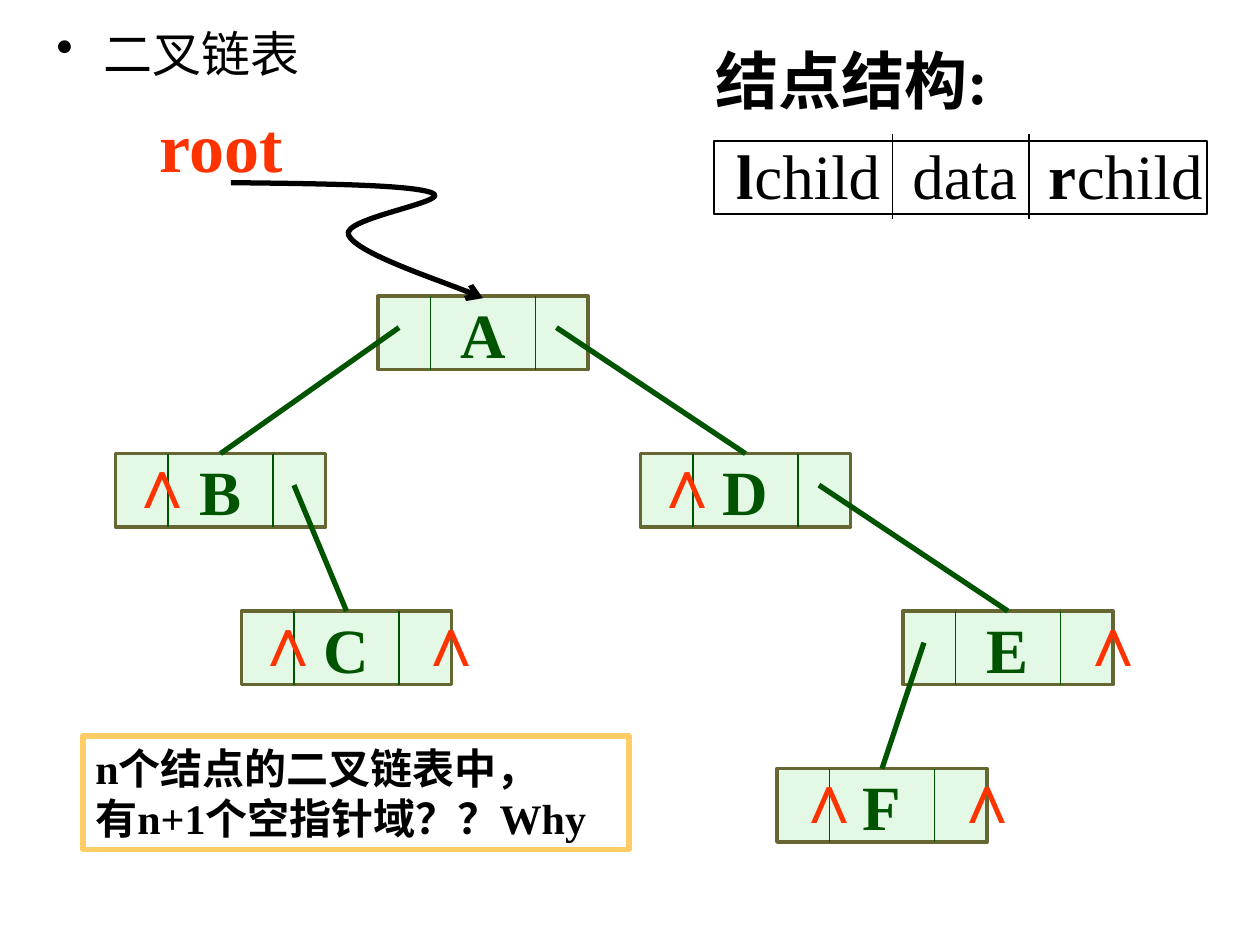
"""Build a slide on the binary linked list storage of a tree."""
from lxml import etree
from pptx import Presentation
from pptx.dml.color import RGBColor
from pptx.enum.shapes import MSO_CONNECTOR, MSO_SHAPE
from pptx.enum.text import MSO_ANCHOR, MSO_AUTO_SIZE, PP_ALIGN
from pptx.oxml.ns import qn
from pptx.util import Pt

RECTANGLE = MSO_SHAPE.RECTANGLE
STRAIGHT = MSO_CONNECTOR.STRAIGHT
LEFT, CENTER = PP_ALIGN.LEFT, PP_ALIGN.CENTER
TOP, MIDDLE = MSO_ANCHOR.TOP, MSO_ANCHOR.MIDDLE
GROW, FIXED = MSO_AUTO_SIZE.SHAPE_TO_FIT_TEXT, MSO_AUTO_SIZE.NONE

BLACK = RGBColor(0x00, 0x00, 0x00)
WHITE = RGBColor(0xFF, 0xFF, 0xFF)
RED = RGBColor(0xFF, 0x33, 0x00)
GREEN = RGBColor(0x00, 0x54, 0x00)
MINT = RGBColor(0xCA, 0xF2, 0xCE)
OLIVE = RGBColor(0x66, 0x66, 0x33)
GOLD = RGBColor(0xFF, 0xCC, 0x66)

PX = 7620
SLIDE_W, SLIDE_H = 1200, 900

TITLE = "二叉链表"
HEADING = "结点结构:"
FIELDS = [("l", True), ("child\tdata\t", False), ("r", True), ("child", False)]
FIELD_TABS = (167, 297)
FIELD_DIVIDERS = (850, 980)
NOTE = ["n个结点的二叉链表中，", "有n+1个空指针域？？Why"]

NODES = {"A": (360, 282), "D": (610, 432), "E": (860, 582),
         "B": (110, 432), "C": (230, 582), "F": (740, 732)}
NODE_W, NODE_H = 200, 70
NODE_DIVIDERS = (50, 150)
NULL_MARKS = [("F", 5), ("F", 155), ("E", 155), ("D", 0),
              ("C", 0), ("C", 155), ("B", 0)]
LINKS = [("A", 20, "B"), ("A", 170, "D"), ("B", 170, "C"),
         ("D", 170, "E"), ("E", 20, "F")]
ROOT_CURVE = [(220, 174), (307, 175), (394, 176), (412, 184), (431, 192),
              (324, 208), (332, 224), (340, 241), (439, 274), (460, 284)]

deck = Presentation()
deck.slide_width, deck.slide_height = SLIDE_W * PX, SLIDE_H * PX
slide = deck.slides.add_slide(deck.slide_layouts[6])
shapes = slide.shapes


def emu(*lengths):
    return [length * PX for length in lengths]


def add_box(area, fill=None, border=None, weight=1):
    box = shapes.add_shape(RECTANGLE, *emu(*area))
    box.shadow.inherit = False
    if fill is None:
        box.fill.background()
    else:
        box.fill.solid()
        box.fill.fore_color.rgb = fill
    if border is None:
        box.line.fill.background()
    else:
        box.line.color.rgb = border
        box.line.width = Pt(weight)
    return box


def add_line(start, end, color, weight):
    line = shapes.add_connector(STRAIGHT, *emu(*start, *end))
    line.line.color.rgb = color
    line.line.width = Pt(weight)
    etree.SubElement(line._element.spPr, qn("a:effectLst"))


def set_tabs(paragraph, stops):
    tab_list = etree.SubElement(paragraph._p.get_or_add_pPr(), qn("a:tabLst"))
    for stop in stops:
        etree.SubElement(tab_list, qn("a:tab"), pos=str(stop * PX), algn="l")


def set_bullet(paragraph, indent):
    properties = paragraph._p.get_or_add_pPr()
    properties.set("marL", str(indent * PX))
    properties.set("indent", str(-indent * PX))
    etree.SubElement(properties, qn("a:buChar"), char="•")


def write(target, paragraphs, size, color, font="Times New Roman", bold=True,
          align=LEFT, anchor=TOP, wrap=False, fit=GROW, tabs=(), bullet=0):
    """Fill a shape, or a new text box over an area, with formatted text."""
    holder = shapes.add_textbox(*emu(*target)) if isinstance(target, tuple) else target
    frame = holder.text_frame
    frame.word_wrap, frame.auto_size = wrap, fit
    frame.vertical_anchor = anchor
    for index, runs in enumerate(paragraphs):
        paragraph = frame.add_paragraph() if index else frame.paragraphs[0]
        paragraph.alignment = align
        if bullet:
            set_bullet(paragraph, bullet)
        if tabs:
            set_tabs(paragraph, tabs)
        for text, weight in [(runs, bold)] if isinstance(runs, str) else runs:
            run = paragraph.add_run()
            run.text = text
            run.font.name, run.font.size = font, Pt(size)
            run.font.bold = weight
            run.font.color.rgb = color


def add_node(label, left, top):
    node = add_box((left, top, NODE_W, NODE_H), MINT, OLIVE, 2)
    tint = node._element.spPr.find(qn("a:solidFill"))[0]
    etree.SubElement(tint, qn("a:alpha"), val="50000")
    write(node, [label], 36, GREEN, align=CENTER, anchor=MIDDLE, fit=FIXED)
    for offset in NODE_DIVIDERS:
        x = left + offset
        add_line((x, top), (x, top + NODE_H), GREEN, 1)


def add_curved_arrow(points, color, weight):
    builder = shapes.build_freeform(*points[0], scale=PX)
    builder.add_line_segments(points[1:], close=False)
    arrow = builder.convert_to_shape()
    arrow.shadow.inherit = False
    arrow.fill.background()
    arrow.line.color.rgb = color
    arrow.line.width = Pt(weight)
    outline = arrow._element.spPr.find(".//" + qn("a:path"))
    segments = outline.findall(qn("a:lnTo"))
    for first in range(0, len(segments), 3):
        bend = etree.SubElement(outline, qn("a:cubicBezTo"))
        for segment in segments[first:first + 3]:
            bend.append(segment[0])
            outline.remove(segment)
    etree.SubElement(arrow.line._get_or_add_ln(), qn("a:tailEnd"), type="arrow")


write(add_box((42, 16, 1121, 76), WHITE), [TITLE], 28, BLACK,
      bold=False, wrap=True, fit=FIXED, bullet=45)

for label, (left, top) in NODES.items():
    add_node(label, left, top)
for label, offset in NULL_MARKS:
    left, top = NODES[label]
    write((left + offset, top - 20, 46, 92), ["∧"], 40, RED, font="Arial")
for parent, offset, child in LINKS:
    left, top = NODES[parent]
    child_left, child_top = NODES[child]
    add_line((left + offset, top + 30), (child_left + NODE_W // 2, child_top), GREEN, 3)

add_curved_arrow(ROOT_CURVE, BLACK, 3)
write((140, 92, 142, 92), ["root"], 40, RED)

write((690, 124, 500, 84), [FIELDS], 36, BLACK, wrap=True, tabs=FIELD_TABS)
add_box((680, 134, 470, 70), border=BLACK)
for x in FIELD_DIVIDERS:
    add_line((x, 128), (x, 209), BLACK, 1)
write((670, 34, 298, 84), [HEADING], 36, BLACK)

write(add_box((79, 701, 520, 108), border=GOLD, weight=3), NOTE, 24, BLACK,
      anchor=MIDDLE)

deck.save("out.pptx")
